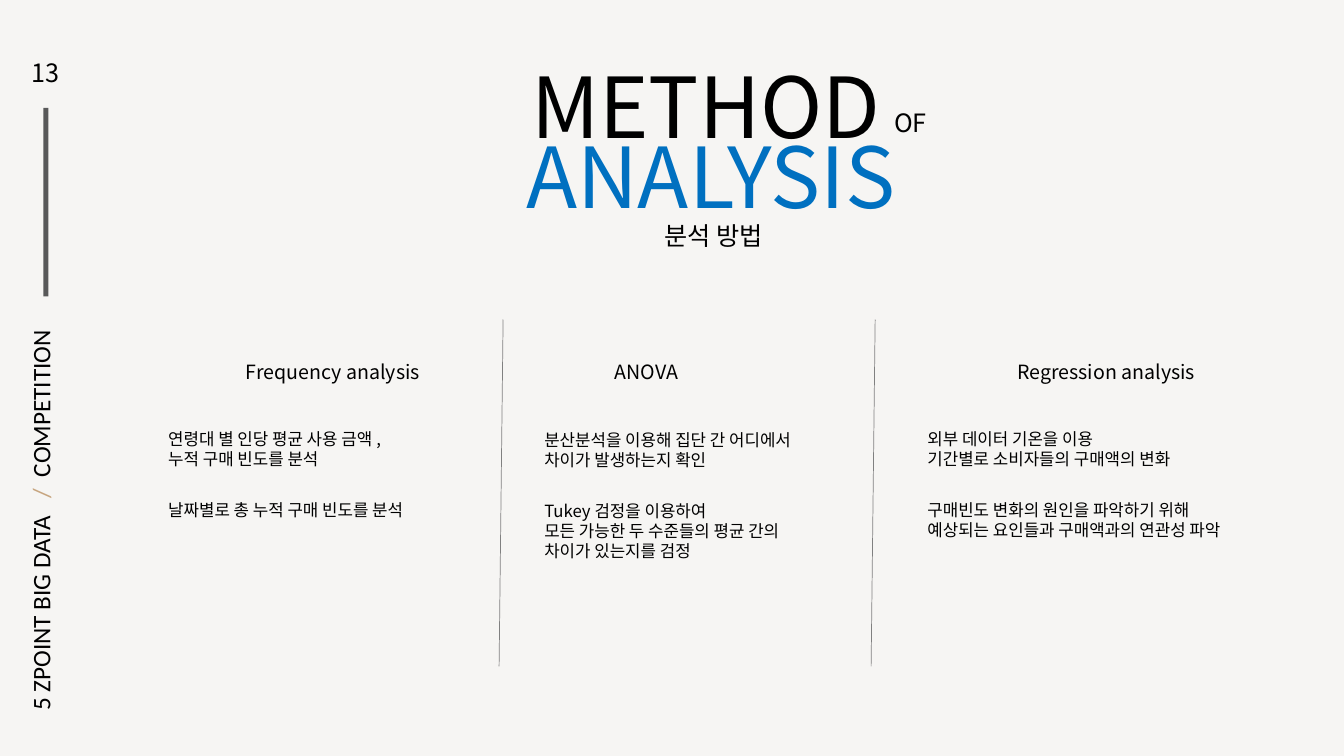
"""Builds the slide on the methods of analysis."""
from lxml import etree
from pptx import Presentation
from pptx import util as u
from pptx.dml.color import RGBColor
from pptx.enum import shapes, text
from pptx.oxml.ns import qn

HUES = {"back": "F6F5F3", "ink": "000000", "blue": "0070C0",
        "bar": "595959", "rule": "808080", "tan": "C7A57F"}
SANS, SIDE = "Noto Sans CJK KR", "Calibri"

deck = Presentation()
deck.slide_width, deck.slide_height = u.Inches(13.33), u.Inches(7.5)
slide = deck.slides.add_slide(deck.slide_layouts[6])


def block(hue, *area):
    shape = slide.shapes.add_shape(shapes.MSO_SHAPE.RECTANGLE, *map(u.Inches, area))
    shape.shadow.inherit = False
    shape.fill.solid()
    shape.fill.fore_color.rgb = RGBColor.from_string(HUES[hue])
    shape.line.fill.background()


def write(lines, size, left, top, wide, high, hue="ink", face=SANS):
    box = slide.shapes.add_textbox(*map(u.Inches, (left, top, wide, high)))
    frame = box.text_frame
    frame.word_wrap = True
    frame.text = lines
    for para in frame.paragraphs:
        font = para.font
        font.size, font.name = u.Pt(size), face
        font.color.rgb = RGBColor.from_string(HUES[hue])
        etree.SubElement(font._element, qn("a:ea")).set("typeface", face)
    return box


block("back", 0, 0, 13.33, 7.5)
block("bar", 0.43, 1.07, 0.05, 1.87)
write("13", 18, 0.21, 0.52, 0.57, 0.4)

for label, top in (("COMPETITION", 2.57), ("5 ZPOINT BIG DATA", 4.68)):
    side = write(label, 18, 0.2, top, 0.5, 2.47, face=SIDE)
    side.rotation = 180
    side.text_frame._txBody.bodyPr.set("vert", "eaVert")
    if label == "COMPETITION":
        para = side.text_frame.paragraphs[0]
        para.runs[0].text = "/  "
        para.runs[0].font.color.rgb = RGBColor.from_string(HUES["tan"])
        para.add_run().text = label

head = write("METHOD", 60, 4.08, 0.49, 5.84, 1.11)
head.text_frame.paragraphs[0].alignment = text.PP_ALIGN.CENTER
write("OF", 18, 8.77, 1.02, 1.46, 0.4)
write("ANALYSIS", 60, 5.12, 1.19, 5.84, 1.11, hue="blue")
write("분석 방법", 18, 6.49, 2.14, 1.46, 0.4)

columns = (
    ("Frequency analysis", 2.34, 1.57, 4.2,
     "연령대 별 인당 평균 사용 금액 ,\n누적 구매 빈도를 분석",
     "날짜별로 총 누적 구매 빈도를 분석"),
    ("ANOVA", 6, 5.3, 4.21,
     "분산분석을 이용해 집단 간 어디에서\n차이가 발생하는지 확인",
     "Tukey 검정을 이용하여\n모든 가능한 두 수준들의 평균 간의\n차이가 있는지를 검정"),
    ("Regression analysis", 9.99, 9.1, 4.2,
     "외부 데이터 기온을 이용\n기간별로 소비자들의 구매액의 변화",
     "구매빈도 변화의 원인을 파악하기 위해\n예상되는 요인들과 구매액과의 연관성 파악"),
)
for title, inset, left, top, first, second in columns:
    write(title, 14, inset, 3.52, 2.77, 0.34)
    for row, body in enumerate((first, second)):
        write(body, 12, left, top + 0.71 * row, 3.96, 0.5)

for x in (4.99, 8.68):
    rule = slide.shapes.add_connector(
        shapes.MSO_CONNECTOR.STRAIGHT,
        *map(u.Inches, (x, 3.17, x - 0.04, 6.61)))
    rule.line.width = u.Pt(0.5)
    rule.line.color.rgb = RGBColor.from_string(HUES["rule"])
    etree.SubElement(rule._element.spPr, qn("a:effectLst"))

deck.save("out.pptx")
